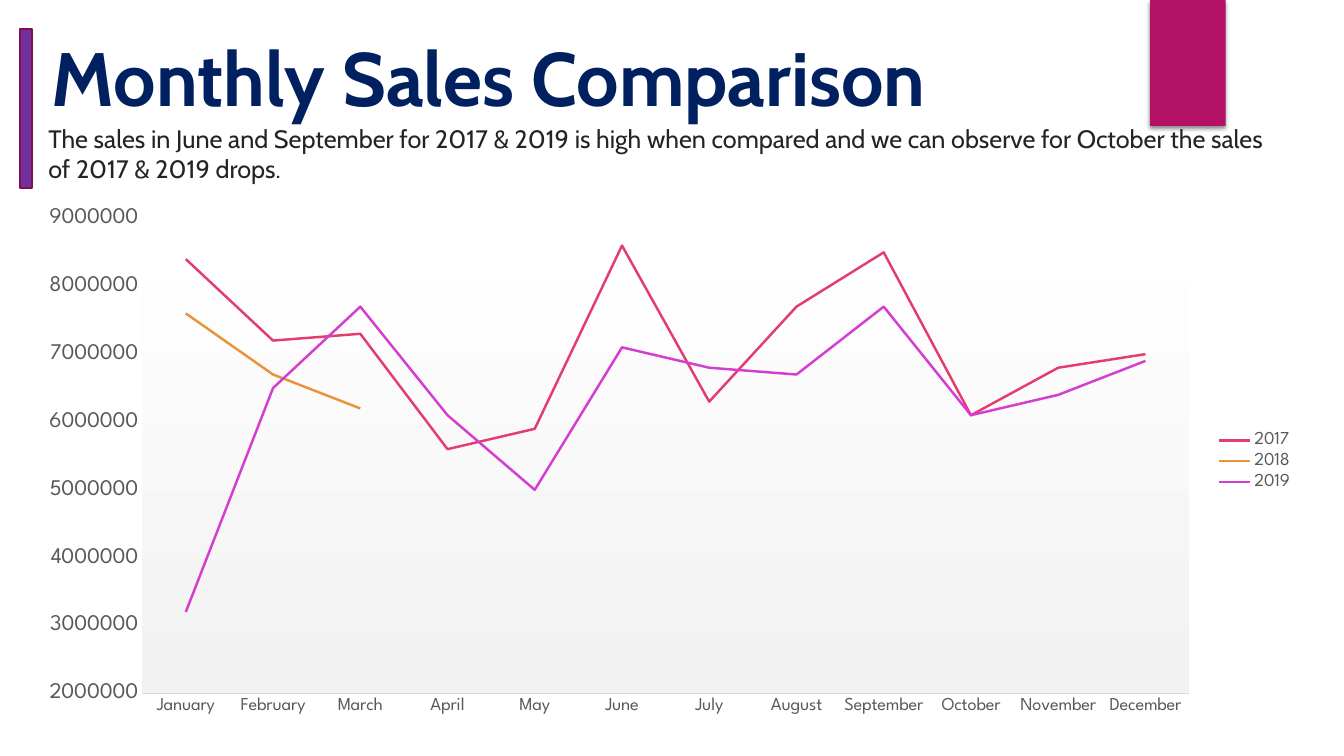
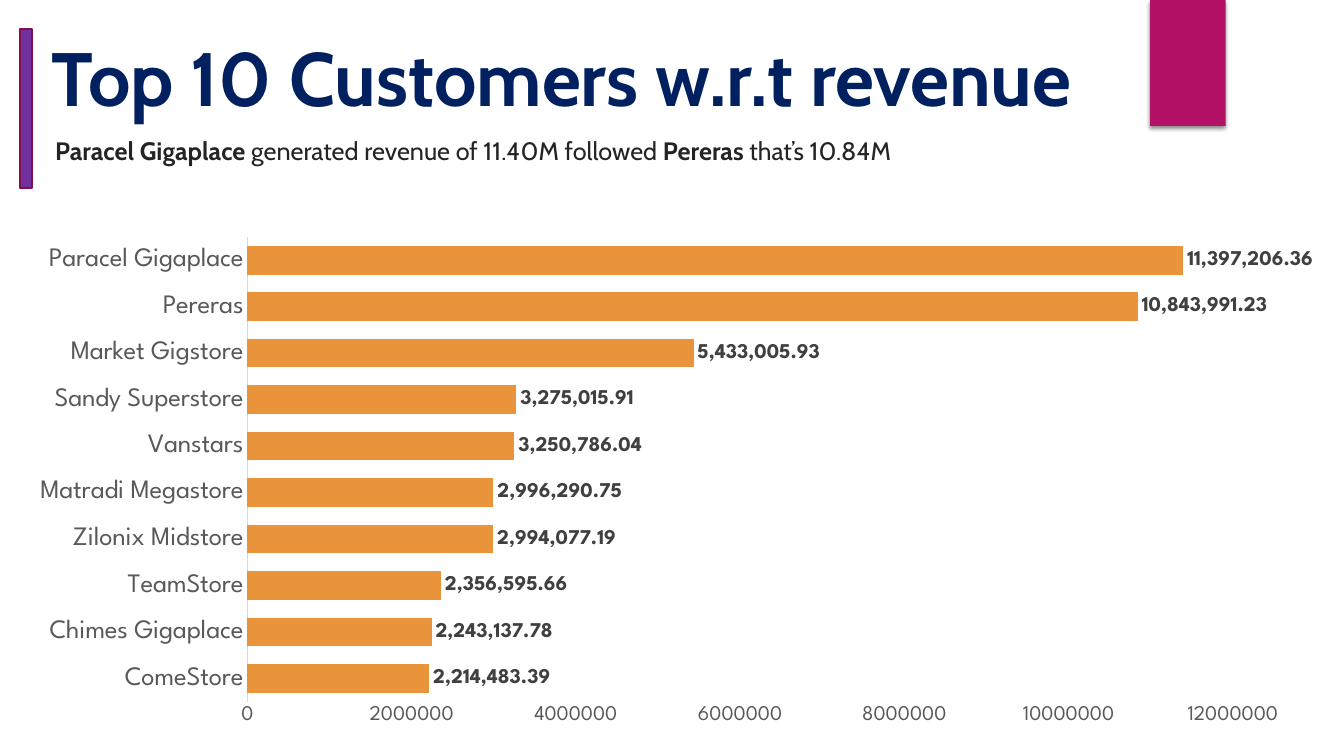
from lxml.etree import fromstring
from pptx import Presentation
from pptx.chart.data import CategoryChartData
from pptx.dml.color import RGBColor
from pptx.enum.chart import (XL_CHART_TYPE, XL_LABEL_POSITION,
                             XL_LEGEND_POSITION, XL_TICK_MARK)
from pptx.enum.shapes import MSO_SHAPE
from pptx.util import Pt

BODY, LABEL = "Cabin", "League Spartan"
NAVY, INK, GREY, DARK, RULE = "002060", "252423", "595959", "404040", "D9D9D9"
PINK, PLUM, WINE = "B31166", "7030A0", "840D4B"
ROSE, AMBER, ORCHID = "E33D6F", "E9943A", "D53DD0"
DRAWING = 'xmlns:a="http://schemas.openxmlformats.org/drawingml/2006/main"'
CHART = 'xmlns:c="http://schemas.openxmlformats.org/drawingml/2006/chart"'

SHADOW = f"""<a:effectLst {DRAWING}>
<a:outerShdw blurRad="38100" dist="25400" dir="5400000" rotWithShape="0">
<a:srgbClr val="000000"><a:alpha val="45000"/></a:srgbClr></a:outerShdw>
</a:effectLst>"""

FADE = f"""<c:spPr {CHART} {DRAWING}><a:gradFill><a:gsLst>
<a:gs pos="0"><a:srgbClr val="FFFFFF"/></a:gs>
<a:gs pos="100000"><a:srgbClr val="F2F2F2"/></a:gs>
</a:gsLst><a:lin ang="5400000" scaled="0"/></a:gradFill></c:spPr>"""


def rgb(code):
    return RGBColor.from_string(code)


def style(font, name, size, color, bold=False):
    font.name, font.size, font.bold = name, Pt(size), bold
    font.color.rgb = rgb(color)


deck = Presentation()
deck.slide_width, deck.slide_height = Pt(960), Pt(540)

months = ["January", "February", "March", "April", "May", "June", "July",
          "August", "September", "October", "November", "December"]
sales = CategoryChartData()
sales.categories = months
sales.add_series("2017", [8400000, 7200000, 7300000, 5600000, 5900000, 8600000,
                          6300000, 7700000, 8500000, 6100000, 6800000, 7000000])
sales.add_series("2018", [7600000, 6700000, 6200000] + [None] * 9)
sales.add_series("2019", [3200000, 6500000, 7700000, 6100000, 5000000, 7100000,
                          6800000, 6700000, 7700000, 6100000, 6400000, 6900000])

buyers = {
    "ComeStore": 2214483.39, "Chimes Gigaplace": 2243137.78,
    "TeamStore": 2356595.66, "Zilonix Midstore": 2994077.19,
    "Matradi Megastore": 2996290.75, "Vanstars": 3250786.04,
    "Sandy Superstore": 3275015.91, "Market Gigstore": 5433005.93,
    "Pereras": 10843991.23, "Paracel Gigaplace": 11397206.36,
}
revenue = CategoryChartData()
revenue.categories = list(buyers)
revenue.add_series("Series 1", list(buyers.values()))

# Boxes are left, top, width, height; plot is the same as shares of the chart.
pages = [
    {"title": "Monthly Sales Comparison",
     "note": [("The sales in June and September for 2017 & 2019 is high when "
               "compared and we can observe for October the sales of 2017 & "
               "2019 drops.", False)],
     "place": (34.5, 88, 881, 44),
     "kind": XL_CHART_TYPE.LINE, "data": sales, "box": (19.5, 141, 912, 377),
     "plot": (0.09, 0.04, 0.82, 0.9), "sizes": (13, 16),
     "range": (2000000, 9000000, 1000000)},
    {"title": "Top 10 Customers w.r.t revenue",
     "note": [("Paracel Gigaplace ", True),
              ("generated revenue of 11.40M followed ", False),
              ("Pereras", True), (" that’s 10.84M", False)],
     "place": (39.5, 96.5, 881, 22),
     "kind": XL_CHART_TYPE.BAR_CLUSTERED, "data": revenue,
     "box": (10, 162, 928, 365),
     "plot": (0.18, 0.02, 0.76, 0.91), "sizes": (19, 15),
     "range": (0, 12000000, 2000000)},
]

charts = []
for page in pages:
    slide = deck.slides.add_slide(deck.slide_layouts[6])
    shapes = slide.shapes

    tab = shapes.add_shape(MSO_SHAPE.RECTANGLE, Pt(821.5), 0, Pt(54), Pt(90))
    tab.fill.solid()
    tab.fill.fore_color.rgb = rgb(PINK)
    tab.line.fill.background()
    tab._element.spPr.append(fromstring(SHADOW))

    bar = shapes.add_shape(MSO_SHAPE.MATH_MINUS, Pt(-59), Pt(59), Pt(155), Pt(37))
    bar.rotation = 90
    bar.shadow.inherit = False
    bar.fill.solid()
    bar.fill.fore_color.rgb = rgb(PLUM)
    bar.line.color.rgb = rgb(WINE)
    bar.line.width = Pt(1.5)

    for place, runs, size, color in [
            ((37, 22, 902, 66), [(page["title"], True)], 54, NAVY),
            (page["place"], page["note"], 18, INK)]:
        frame = shapes.add_textbox(*map(Pt, place)).text_frame
        frame.word_wrap = True
        frame.margin_left = frame.margin_right = 0
        frame.margin_top = frame.margin_bottom = 0
        for text, bold in runs:
            run = frame.paragraphs[0].add_run()
            run.text = text
            style(run.font, BODY, size, color, bold)

    chart = shapes.add_chart(page["kind"], *map(Pt, page["box"]),
                             page["data"]).chart
    style(chart.font, LABEL, 10, "000000")
    chart.has_title = chart.has_legend = False
    chart.plots[0].vary_by_categories = False
    axes = chart.category_axis, chart.value_axis
    for axis, size in zip(axes, page["sizes"]):
        axis.major_tick_mark = axis.minor_tick_mark = XL_TICK_MARK.NONE
        axis.has_major_gridlines = False
        style(axis.tick_labels.font, LABEL, size, GREY)
    axes[0].format.line.color.rgb = rgb(RULE)
    axes[0].format.line.width = Pt(0.75)
    axes[1].format.line.fill.background()
    (axes[1].minimum_scale, axes[1].maximum_scale,
     axes[1].major_unit) = page["range"]

    area = chart._chartSpace.chart.plotArea
    for old in area.findall("{*}layout"):
        area.remove(old)
    modes = '<c:xMode val="edge"/><c:yMode val="edge"/>'
    spots = "".join(f'<c:{key} val="{share}"/>'
                    for key, share in zip("xywh", page["plot"]))
    area.insert(0, fromstring(
        f'<c:layout {CHART}><c:manualLayout><c:layoutTarget val="inner"/>'
        f'{modes}{spots}</c:manualLayout></c:layout>'))
    charts.append(chart)

trend, rank = charts

trend._chartSpace.chart.plotArea.append(fromstring(FADE))
for line, color in zip(trend.plots[0].series, (ROSE, AMBER, ORCHID)):
    line.smooth = False
    line.format.line.color.rgb = rgb(color)
    line.format.line.width = Pt(1.75)
trend.has_legend = True
trend.legend.position = XL_LEGEND_POSITION.RIGHT
trend.legend.include_in_layout = False
style(trend.legend.font, LABEL, 13, GREY)

bars = rank.plots[0]
bars.gap_width = 63
fill = bars.series[0].format.fill
fill.solid()
fill.fore_color.rgb = rgb(AMBER)
bars.has_data_labels = True
labels = bars.data_labels
labels.show_value = True
labels.position = XL_LABEL_POSITION.OUTSIDE_END
labels.number_format = "#,##0.00"
labels.number_format_is_linked = False
style(labels.font, LABEL, 15, DARK, True)

deck.save("out.pptx")
